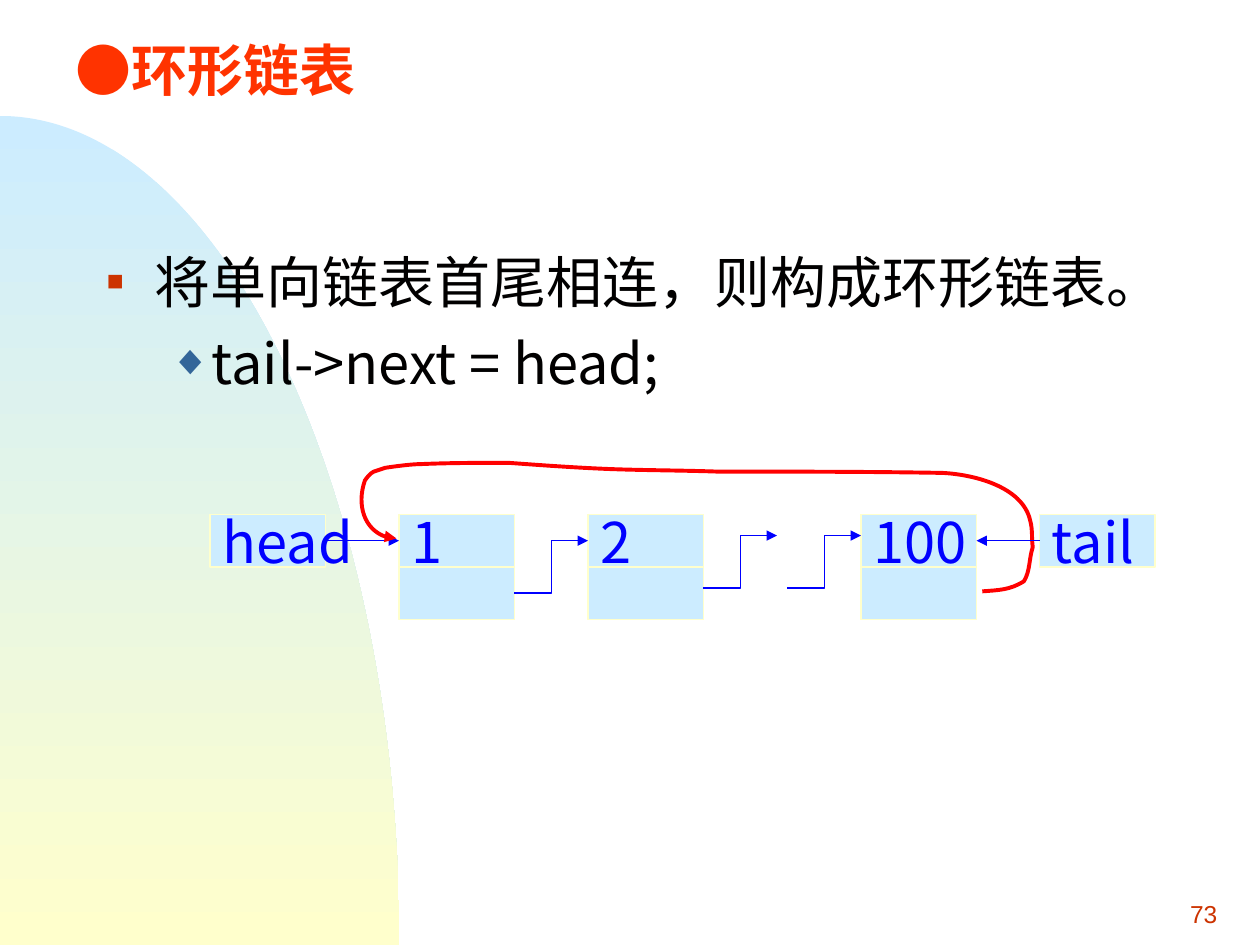
from lxml.etree import SubElement
from pptx import Presentation
from pptx.dml.color import RGBColor
from pptx.enum.shapes import MSO_CONNECTOR, MSO_SHAPE
from pptx.enum.text import MSO_ANCHOR, PP_ALIGN
from pptx.oxml.ns import qn
from pptx.util import Inches, Pt

COLORS = {"sky": "CCECFF", "cream": "FFFFCC", "rust": "CC3300", "title": "FF3300",
          "ink": "010000", "steel": "336699", "blue": "0000FF", "red": "FF0000"}
FONT = "Noto Sans CJK SC"
CELL_W, CELL_H = 11 / 12, 5 / 12


def color(name):
    return RGBColor.from_string(COLORS[name])


def style(para, hue, size=32, face=FONT, bold=False):
    for run in para.runs:
        font = run.font
        font.size, font.name, font.bold = Pt(size), face, bold
        font.color.rgb = color(hue)
        SubElement(run._r.get_or_add_rPr(), qn("a:ea"), typeface=face)


def add_text(slide, box, text, wrap=True):
    frame = slide.shapes.add_textbox(*map(Inches, box)).text_frame
    frame.word_wrap = wrap
    frame.text = text
    return frame


def set_bullet(para, mark, hue, size, left, hang):
    props = para._p.get_or_add_pPr()
    props.set("marL", str(Inches(left)))
    props.set("indent", str(-Inches(hang)))
    tint = SubElement(props, qn("a:buClr"))
    SubElement(tint, qn("a:srgbClr"), val=COLORS[hue])
    SubElement(props, qn("a:buSzPct"), val=str(size * 1000))
    SubElement(props, qn("a:buFont"), typeface="Arial")
    SubElement(props, qn("a:buChar"), char=mark)


def set_line(shape, hue, width):
    shape.line.color.rgb = color(hue)
    shape.line.width = Pt(width)


def add_head(shape):
    SubElement(shape.line._get_or_add_ln(), qn("a:tailEnd"), type="triangle")


def add_curve(slide, start, curves, corners=()):
    """Draw a chain of cubic curves, closed through the corners if there are any."""
    points = [start, *(spot for curve in curves for spot in curve), *corners]
    spots = [(Inches(x), Inches(y)) for x, y in points]
    pen = slide.shapes.build_freeform(*spots[0], scale=1.0)
    pen.add_line_segments(spots[1:], close=bool(corners))
    shape = pen.convert_to_shape()
    shape.shadow.inherit = False
    lines = list(shape._element.iter(qn("a:lnTo")))
    for index in range(0, 3 * len(curves), 3):
        first, *others = lines[index:index + 3]
        bend = first.makeelement(qn("a:cubicBezTo"))
        first.addprevious(bend)
        for line in (first, *others):
            bend.append(line[0])
            line.getparent().remove(line)
    return shape


def add_hill(slide, left, top, width, height):
    right, base = left + width, top + height
    arc = ((left + 0.55 * width, top), (right, base - 0.55 * height), (right, base))
    hill = add_curve(slide, (left, top), [arc], [(left, base)])
    hill.fill.gradient()
    hill.fill.gradient_angle = 270
    for stop, hue in zip(hill.fill.gradient_stops, ("sky", "cream")):
        stop.color.rgb = color(hue)
    hill.line.fill.background()


def add_title(slide, *box):
    para = add_text(slide, box, "●环形链表").paragraphs[0]
    para.line_spacing = 0.7
    style(para, "title", bold=True)


def add_number(slide, *box):
    frame = add_text(slide, box, "73", wrap=False)
    frame.vertical_anchor = MSO_ANCHOR.MIDDLE
    para = frame.paragraphs[0]
    para.alignment = PP_ALIGN.RIGHT
    style(para, "rust", 14, "Arial")


def add_body(slide, *box):
    frame = add_text(slide, box, "将单向链表首尾相连，则构成环形链表。\ntail->next = head;")
    first, second = frame.paragraphs
    second.level = 1
    second.space_before = Pt(8)
    set_bullet(first, "■", "rust", 50, 3 / 8, 3 / 8)
    set_bullet(second, "◆", "steel", 75, 13 / 16, 5 / 16)
    for para in frame.paragraphs:
        style(para, "ink")


def add_cell(slide, left, top, text=""):
    cell = slide.shapes.add_shape(MSO_SHAPE.RECTANGLE, *map(Inches, (left, top, CELL_W, CELL_H)))
    cell.shadow.inherit = False
    cell.fill.solid()
    cell.fill.fore_color.rgb = color("sky")
    set_line(cell, "cream", 0.75)
    if text:
        frame = cell.text_frame
        frame.word_wrap = False
        frame.vertical_anchor = MSO_ANCHOR.MIDDLE
        frame.text = text
        frame.paragraphs[0].alignment = PP_ALIGN.LEFT
        style(frame.paragraphs[0], "blue")


def add_arrow(slide, kind, *ends):
    arrow = slide.shapes.add_connector(kind, *map(Inches, ends))
    set_line(arrow, "blue", 0.75)
    add_head(arrow)
    SubElement(arrow._element.spPr, qn("a:effectLst"))


def add_loop(slide, left, top):
    """Draw the curve from the last node back to the first."""
    start = (6.13, 0.61)
    curves = [
        ((6.26, 0.6), (6.35, 0.6), (6.46, 0.53)),
        ((6.51, 0.45), (6.5, 0.35), (6.53, 0.26)),
        ((6.52, 0.19), (6.53, 0.12), (6.51, 0.05)),
        ((6.45, -0.23), (6.04, -0.32), (5.81, -0.33)),
        ((5.22, -0.34), (4.63, -0.34), (4.03, -0.34)),
        ((3.75, -0.35), (3.47, -0.35), (3.19, -0.36)),
        ((2.92, -0.37), (2.64, -0.39), (2.37, -0.41)),
        ((2.14, -0.41), (1.91, -0.41), (1.68, -0.4)),
        ((1.58, -0.4), (1.39, -0.37), (1.39, -0.37)),
        ((1.36, -0.36), (1.33, -0.35), (1.3, -0.34)),
        ((1.27, -0.33), (1.23, -0.27), (1.23, -0.27)),
        ((1.16, -0.07), (1.25, 0.19), (1.48, 0.19)),
    ]

    def place(spot):
        return left + spot[0], top + spot[1]

    loop = add_curve(slide, place(start), [tuple(map(place, curve)) for curve in curves])
    loop.fill.background()
    set_line(loop, "red", 2.25)
    add_head(loop)


def add_list(slide, left, top):
    nodes = {"1": left + 1.5, "2": left + 3, "100": left + 62 / 12}
    tail = left + 79 / 12
    mid = top + CELL_H / 2
    add_cell(slide, left, top, "head")
    for text, x in nodes.items():
        add_cell(slide, x, top, text)
        add_cell(slide, x, top + CELL_H)
    add_arrow(slide, MSO_CONNECTOR.STRAIGHT, left + CELL_W, mid, nodes["1"], mid)
    high = mid - 0.04
    for x, y in ((29 / 12, mid), (47 / 12, high), (55 / 12, high)):
        add_arrow(slide, MSO_CONNECTOR.ELBOW, left + x, y + CELL_H, left + x + 7 / 12, y)
    add_loop(slide, left, top)
    add_cell(slide, tail, top, "tail")
    add_arrow(slide, MSO_CONNECTOR.STRAIGHT, tail, mid, nodes["100"] + CELL_W, mid)


def main():
    deck = Presentation()
    deck.slide_width, deck.slide_height = Inches(10), Inches(7.5)
    slide = deck.slides.add_slide(deck.slide_layouts[6])
    add_hill(slide, 0, 0.92, 3.17, 6.58)
    add_number(slide, 7.68, 7, 2.08, 0.5)
    add_title(slide, 0.5, 0.38, 8.33, 1.25)
    add_body(slide, 0.75, 23 / 12, 8.75, 4.5)
    add_list(slide, 20 / 12, 49 / 12)
    deck.save("out.pptx")


if __name__ == "__main__":
    main()
